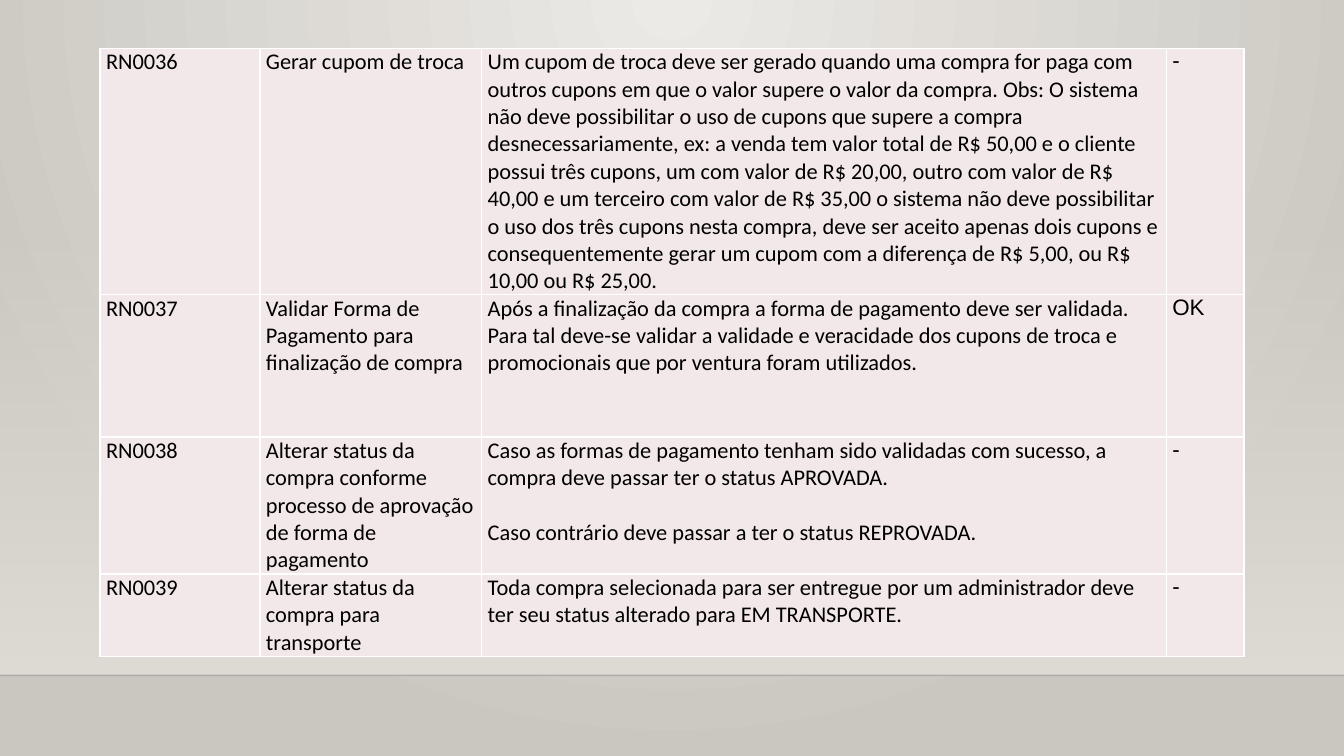
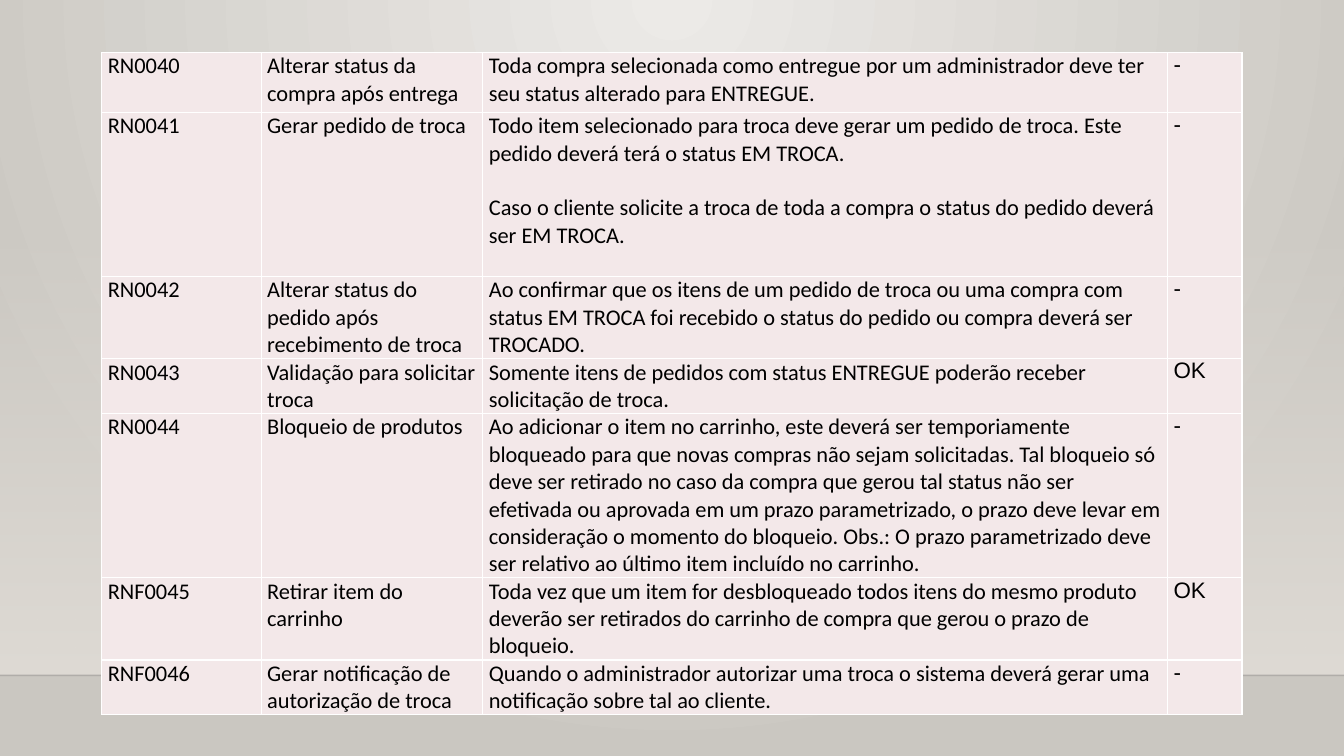
from dataclasses import dataclass

from lxml.etree import SubElement
from pptx import Presentation
from pptx.dml.color import RGBColor
from pptx.enum.shapes import MSO_CONNECTOR, MSO_SHAPE
from pptx.oxml.ns import qn
from pptx.util import Inches, Pt


@dataclass(frozen=True)
class Theme:
    """Colours, fonts and sizes shared by all slides."""
    glow: str = "ECEAE7"
    edge: str = "CAC7C1"
    wall: str = "DFDBD5"
    floor_line: str = "000001"
    cell: str = "F3E8E9"
    border: str = "FFFFFF"
    text: str = "000000"
    body_font: str = "Calibri"
    status_font: str = "Arial"
    body_size: float = 16
    line_pitch: float = 19.53


def add_colour(parent, value, alpha=None):
    """Append an RGB colour, with opacity in percent if given."""
    colour = SubElement(parent, qn("a:srgbClr"), val=value)
    if alpha is not None:
        SubElement(colour, qn("a:alpha"), val=str(alpha * 1000))


class Deck:
    """Holds the theme and the current slide, and draws on it."""

    def __init__(self, theme):
        """Open a widescreen presentation with the shared background."""
        self.theme = theme
        self.deck = Presentation()
        self.deck.slide_width = Inches(13.33)
        self.deck.slide_height = Inches(7.5)
        self.slide = None
        self.background()

    def x(self, share):
        """Turn a percentage of the slide width into a length."""
        return round(self.deck.slide_width * share / 100)

    def y(self, share):
        """Turn a percentage of the slide height into a length."""
        return round(self.deck.slide_height * share / 100)

    def background(self):
        """Give the master a radial glow from the top centre."""
        fill = self.deck.slide_master.background.fill
        fill.gradient()
        for stop, colour in zip(fill.gradient_stops, (self.theme.glow, self.theme.edge)):
            stop.color.rgb = RGBColor.from_string(colour)
        for stop, position in zip(fill.gradient_stops, (0, 1)):
            stop.position = position
        master = self.deck.slide_master.element
        gradient = next(master.iter(qn("a:gradFill")))
        gradient.remove(gradient.find(qn("a:lin")))
        circle = SubElement(gradient, qn("a:path"), path="circle")
        SubElement(circle, qn("a:fillToRect"), l="43000", t="0", r="43000", b="100000")

    def new_slide(self):
        """Start a slide with the wall and the floor line."""
        self.slide = self.deck.slides.add_slide(self.deck.slide_layouts[6])
        self.wall(top=29.5, bottom=89.33)
        self.floor_line(level=89.33)

    def wall(self, top, bottom):
        """Draw the full-width band that fades in downwards."""
        band = self.slide.shapes.add_shape(
            MSO_SHAPE.RECTANGLE, 0, self.y(top), self.x(100), self.y(bottom - top))
        band.shadow.inherit = False
        band.line.fill.background()
        band.fill.gradient()
        band.fill.gradient_angle = 270
        stops = next(band.element.iter(qn("a:gsLst")))
        for stop, position, alpha in zip(stops, (0, 100), (0, 100)):
            stop.set("pos", str(position * 1000))
            stop.remove(stop[0])
            add_colour(stop, self.theme.wall, alpha)

    def floor_line(self, level):
        """Draw the faint line under the wall."""
        edge = self.slide.shapes.add_connector(
            MSO_CONNECTOR.STRAIGHT, 0, self.y(level), self.x(100), self.y(level))
        edge.line.width = Pt(1)
        edge.line.fill.solid()
        solid = next(edge.element.iter(qn("a:solidFill")))
        add_colour(solid, self.theme.floor_line, 20)
        SubElement(edge.element.spPr, qn("a:effectLst"))

    def rules_table(self, top, columns, rules):
        """Draw a centred table; each rule starts with its height in text lines."""
        heights = [Pt(self.theme.line_pitch * lines) for lines, *_ in rules]
        width = sum(columns)
        table = self.slide.shapes.add_table(
            len(rules), len(columns), self.x((100 - width) / 2), self.y(top),
            self.x(width), sum(heights)).table
        table.first_row = table.horz_banding = False
        for column, share in zip(table.columns, columns):
            column.width = self.x(share)
        for row, height, (_, *texts) in zip(table.rows, heights, rules):
            row.height = height
            *rule_cells, status = row.cells
            for cell, text in zip(rule_cells, texts):
                self.cell(cell, text, self.theme.body_font)
            self.cell(status, texts[-1], self.theme.status_font)

    def cell(self, cell, text, font):
        """Fill, border and write one cell; line breaks part paragraphs."""
        margins = {"margin_left": Inches(0.06), "margin_right": Inches(0.06),
                   "margin_top": 0, "margin_bottom": 0}
        for name, value in margins.items():
            setattr(cell, name, value)
        properties = cell._tc.get_or_add_tcPr()
        for side in ("lnL", "lnR", "lnT", "lnB"):
            border = SubElement(properties, qn(f"a:{side}"), w=str(Pt(1)))
            add_colour(SubElement(border, qn("a:solidFill")), self.theme.border)
        cell.fill.solid()
        cell.fill.fore_color.rgb = RGBColor.from_string(self.theme.cell)
        cell.text = text
        for index, paragraph in enumerate(cell.text_frame.paragraphs):
            if index:
                paragraph.space_before = Pt(self.theme.line_pitch)
            for run in paragraph.runs:
                for name, value in {"name": font, "size": Pt(self.theme.body_size)}.items():
                    setattr(run.font, name, value)
                run.font.color.rgb = RGBColor.from_string(self.theme.text)

    def save(self):
        """Write the presentation."""
        self.deck.save("out.pptx")


PAYMENT_RULES = [
    (9, "RN0036", "Gerar cupom de troca",
     "Um cupom de troca deve ser gerado quando uma compra for paga com outros cupons "
     "em que o valor supere o valor da compra. Obs: O sistema não deve possibilitar o "
     "uso de cupons que supere a compra desnecessariamente, ex: a venda tem valor total "
     "de R$ 50,00 e o cliente possui três cupons, um com valor de R$ 20,00, outro com "
     "valor de R$ 40,00 e um terceiro com valor de R$ 35,00 o sistema não deve "
     "possibilitar o uso dos três cupons nesta compra, deve ser aceito apenas dois "
     "cupons e consequentemente gerar um cupom com a diferença de R$ 5,00, ou R$ 10,00 "
     "ou R$ 25,00.", "-"),
    (5.2, "RN0037", "Validar Forma de Pagamento para finalização de compra",
     "Após a finalização da compra a forma de pagamento deve ser validada. Para tal "
     "deve-se validar a validade e veracidade dos cupons de troca e promocionais que "
     "por ventura foram utilizados.", "OK"),
    (5, "RN0038",
     "Alterar status da compra conforme processo de aprovação de forma de pagamento",
     "Caso as formas de pagamento tenham sido validadas com sucesso, a compra deve "
     "passar ter o status APROVADA.\n"
     "Caso contrário deve passar a ter o status REPROVADA.", "-"),
    (3, "RN0039", "Alterar status da compra para transporte",
     "Toda compra selecionada para ser entregue por um administrador deve ter seu "
     "status alterado para EM TRANSPORTE.", "-"),
]

EXCHANGE_RULES = [
    (2.2, "RN0040", "Alterar status da compra após entrega",
     "Toda compra selecionada como entregue por um administrador deve ter seu status "
     "alterado para ENTREGUE.", "-"),
    (6, "RN0041", "Gerar pedido de troca",
     "Todo item selecionado para troca deve gerar um pedido de troca. Este pedido "
     "deverá terá o status EM TROCA.\n"
     "Caso o cliente solicite a troca de toda a compra o status do pedido deverá ser "
     "EM TROCA.", "-"),
    (3, "RN0042", "Alterar status do pedido após recebimento de troca",
     "Ao confirmar que os itens de um pedido de troca ou uma compra com status EM TROCA "
     "foi recebido o status do pedido ou compra deverá ser TROCADO.", "-"),
    (2, "RN0043", "Validação para solicitar troca",
     "Somente itens de pedidos com status ENTREGUE poderão receber solicitação de "
     "troca.", "OK"),
    (6, "RN0044", "Bloqueio de produtos",
     "Ao adicionar o item no carrinho, este deverá ser temporiamente bloqueado para que "
     "novas compras não sejam solicitadas. Tal bloqueio só deve ser retirado no caso da "
     "compra que gerou tal status não ser efetivada ou aprovada em um prazo "
     "parametrizado, o prazo deve levar em consideração o momento do bloqueio. Obs.: O "
     "prazo parametrizado deve ser relativo ao último item incluído no carrinho.", "-"),
    (3, "RNF0045", "Retirar item do carrinho",
     "Toda vez que um item for desbloqueado todos itens do mesmo produto deverão ser "
     "retirados do carrinho de compra que gerou o prazo de bloqueio.", "OK"),
    (2, "RNF0046", "Gerar notificação de autorização de troca",
     "Quando o administrador autorizar uma troca o sistema deverá gerar uma notificação "
     "sobre tal ao cliente.", "-"),
]

deck = Deck(Theme())
for top, columns, rules in (
        (6.4, (11.9, 16.5, 50.94, 5.78), PAYMENT_RULES),
        (6.93, (11.85, 16.5, 50.94, 5.55), EXCHANGE_RULES)):
    deck.new_slide()
    deck.rules_table(top, columns, rules)
deck.save()
